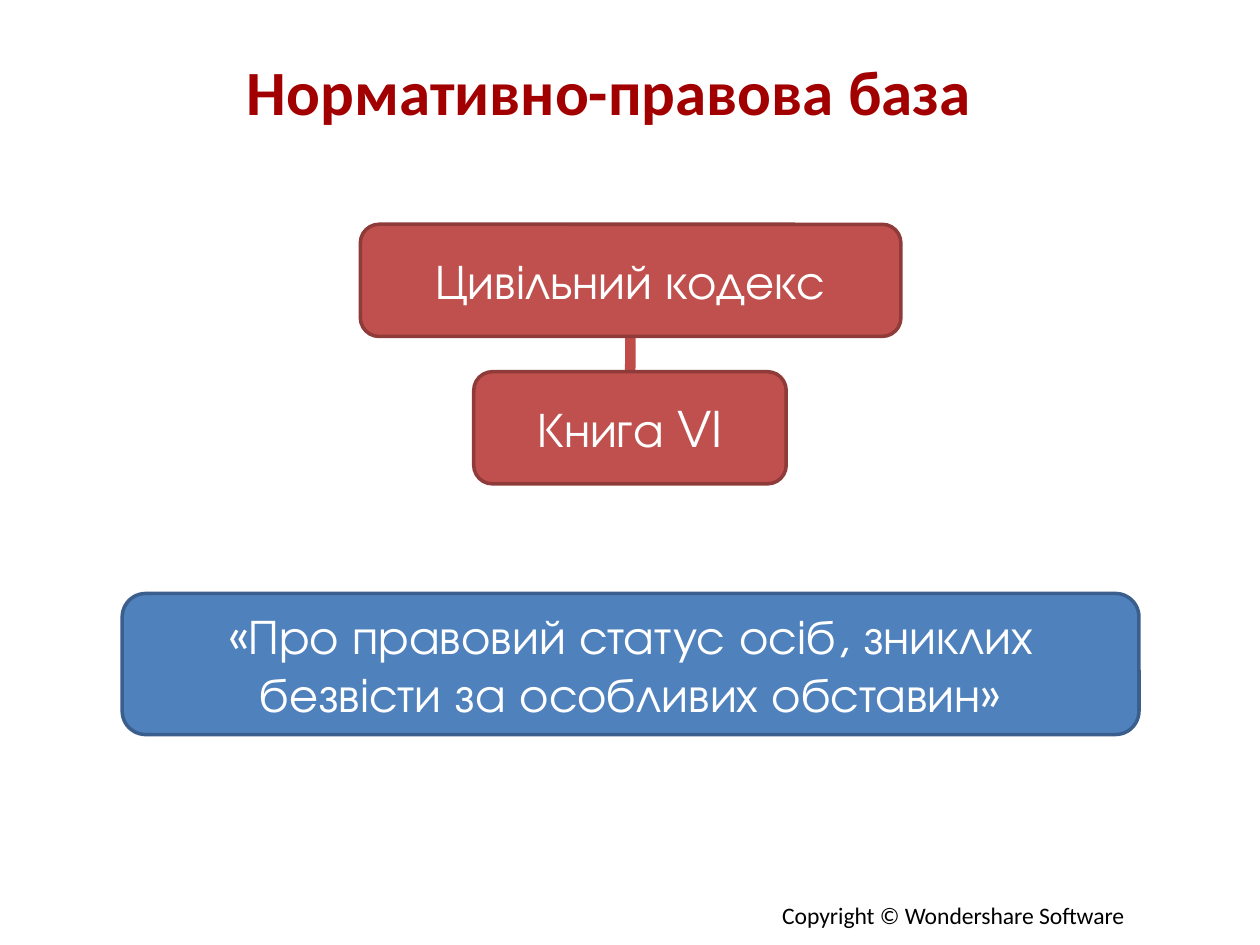
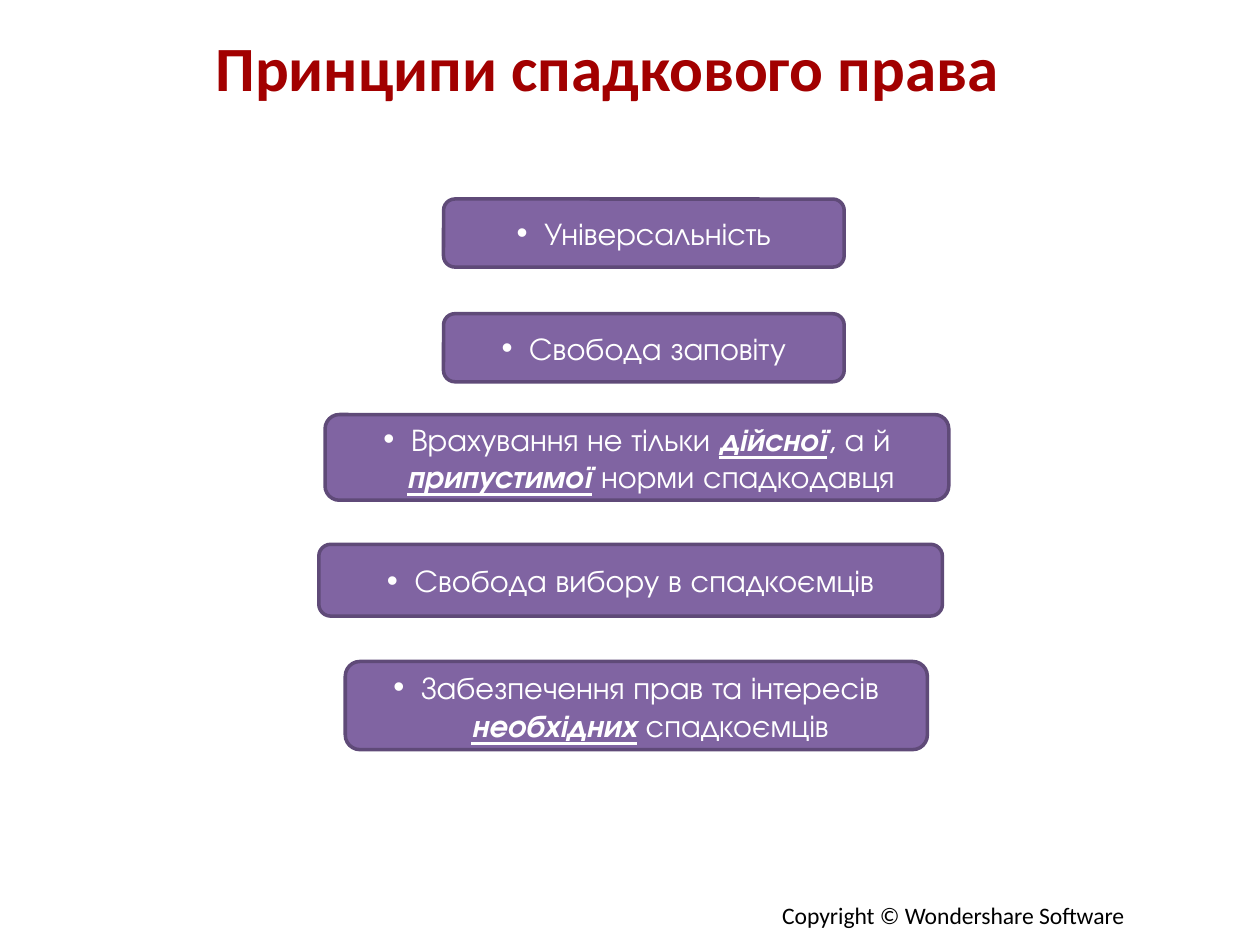
from lxml import etree
from pptx import Presentation
from pptx.dml.color import RGBColor
from pptx.enum.shapes import MSO_CONNECTOR, MSO_SHAPE
from pptx.enum.text import MSO_ANCHOR, MSO_AUTO_SIZE, PP_ALIGN
from pptx.oxml.ns import qn
from pptx.util import Inches, Pt

CENTER, JUSTIFY = PP_ALIGN.CENTER, PP_ALIGN.JUSTIFY
MIDDLE = MSO_ANCHOR.MIDDLE
NO_AUTOFIT = MSO_AUTO_SIZE.NONE
ROUNDED = MSO_SHAPE.ROUNDED_RECTANGLE
STRAIGHT = MSO_CONNECTOR.STRAIGHT
TITLE_ONLY = 5

TITLE_FONT, BOX_FONT = "Calibri", "TeX Gyre Adventor"
TITLE_RED = RGBColor(0xA2, 0x00, 0x00)
LINK_RED = RGBColor(0xBF, 0x4C, 0x48)
WHITE = RGBColor(0xFF, 0xFF, 0xFF)
BLACK = RGBColor(0x00, 0x00, 0x00)
# Each scheme is a fill and an outline.
RED = RGBColor(0xC0, 0x50, 0x4D), RGBColor(0x8E, 0x3B, 0x39)
BLUE = RGBColor(0x4F, 0x81, 0xBD), RGBColor(0x3A, 0x5F, 0x8C)
PURPLE = RGBColor(0x80, 0x64, 0xA2), RGBColor(0x5F, 0x4A, 0x78)

BULLET_INDENT = Inches(0.22)


def inches(box):
    return [Inches(length) for length in box]


def add_span(para, text, font, size, color, bold=False):
    span = para.add_run()
    span.text = text
    span.font.name = font
    span.font.size = Pt(size)
    span.font.color.rgb = color
    span.font.bold = bold
    return span


def add_bullet(para):
    props = para._p.get_or_add_pPr()
    props.set("marL", str(BULLET_INDENT))
    props.set("indent", str(-BULLET_INDENT))
    etree.SubElement(props, qn("a:buFont")).set("typeface", "Arial")
    etree.SubElement(props, qn("a:buChar")).set("char", "•")


def add_page(deck, title, box, align):
    """Add a slide with the shared title style and footer."""
    page = deck.slides.add_slide(deck.slide_layouts[TITLE_ONLY])
    heading = page.shapes.title
    heading.left, heading.top, heading.width, heading.height = inches(box)
    frame = heading.text_frame
    frame.auto_size = NO_AUTOFIT
    frame.word_wrap = True
    frame.vertical_anchor = MIDDLE
    para = frame.paragraphs[0]
    para.alignment = align
    add_span(para, title, TITLE_FONT, 36, TITLE_RED, bold=True)

    footer = page.shapes.add_textbox(*inches((6.11, 7.1, 2.97, 0.33)))
    add_span(footer.text_frame.paragraphs[0], "Copyright © Wondershare Software",
             TITLE_FONT, 13.5, BLACK)
    return page


def add_panel(page, box, scheme, spans, size, bullet=False):
    """Add a rounded box; spans alternate between plain and stressed text."""
    panel = page.shapes.add_shape(ROUNDED, *inches(box))
    panel.shadow.inherit = False
    fill, outline = scheme
    panel.fill.solid()
    panel.fill.fore_color.rgb = fill
    panel.line.color.rgb = outline
    panel.line.width = Pt(2)
    frame = panel.text_frame
    frame.word_wrap = True
    frame.vertical_anchor = MIDDLE
    para = frame.paragraphs[0]
    para.alignment = CENTER
    if bullet:
        add_bullet(para)
    for index, text in enumerate(spans):
        stressed = index % 2 == 1
        span = add_span(para, text, BOX_FONT, size, WHITE, bold=stressed)
        span.font.italic = stressed
        span.font.underline = stressed


def add_link(page, upper, lower):
    """Join the centres of two boxes; draw it before them."""
    ends = [(left + width / 2, top + height / 2)
            for left, top, width, height in (upper, lower)]
    link = page.shapes.add_connector(STRAIGHT, *inches(ends[0] + ends[1]))
    link.line.color.rgb = LINK_RED
    link.line.width = Pt(6)
    etree.SubElement(link._element.spPr, qn("a:effectLst"))


def add_legal_basis(deck):
    page = add_page(deck, "Нормативно-правова база", (1.86, 0.38, 6.28, 0.68), JUSTIFY)
    code, book = (2.86, 1.78, 4.29, 0.89), (3.76, 2.95, 2.48, 0.89)
    add_link(page, code, book)
    add_panel(page, code, RED, ["Цивільний кодекс"], 28)
    add_panel(page, book, RED, ["Книга VI"], 28)
    add_panel(page, (0.97, 4.71, 8.07, 1.12), BLUE,
              ["«Про правовий статус осіб, зниклих безвісти за особливих обставин»"], 28)


def add_principles(deck):
    page = add_page(deck, "Принципи спадкового права", (1.49, 0.19, 6.66, 0.68), CENTER)
    principles = [
        ((3.52, 1.58, 3.18, 0.54), ["Універсальність"]),
        ((3.52, 2.49, 3.18, 0.54), ["Свобода заповіту"]),
        ((2.58, 3.29, 4.95, 0.68), ["Врахування не тільки ", "дійсної", ", а й ",
                                    "припустимої", " норми спадкодавця"]),
        ((2.53, 4.32, 4.95, 0.57), ["Свобода вибору в спадкоємців"]),
        ((2.74, 5.25, 4.62, 0.7), ["Забезпечення прав та інтересів ", "необхідних",
                                   " спадкоємців"]),
    ]
    for box, spans in principles:
        add_panel(page, box, PURPLE, spans, 18, bullet=True)


def main():
    deck = Presentation()
    deck.slide_width, deck.slide_height = Inches(10), Inches(7.5)
    add_legal_basis(deck)
    add_principles(deck)
    deck.save("out.pptx")


if __name__ == "__main__":
    main()
